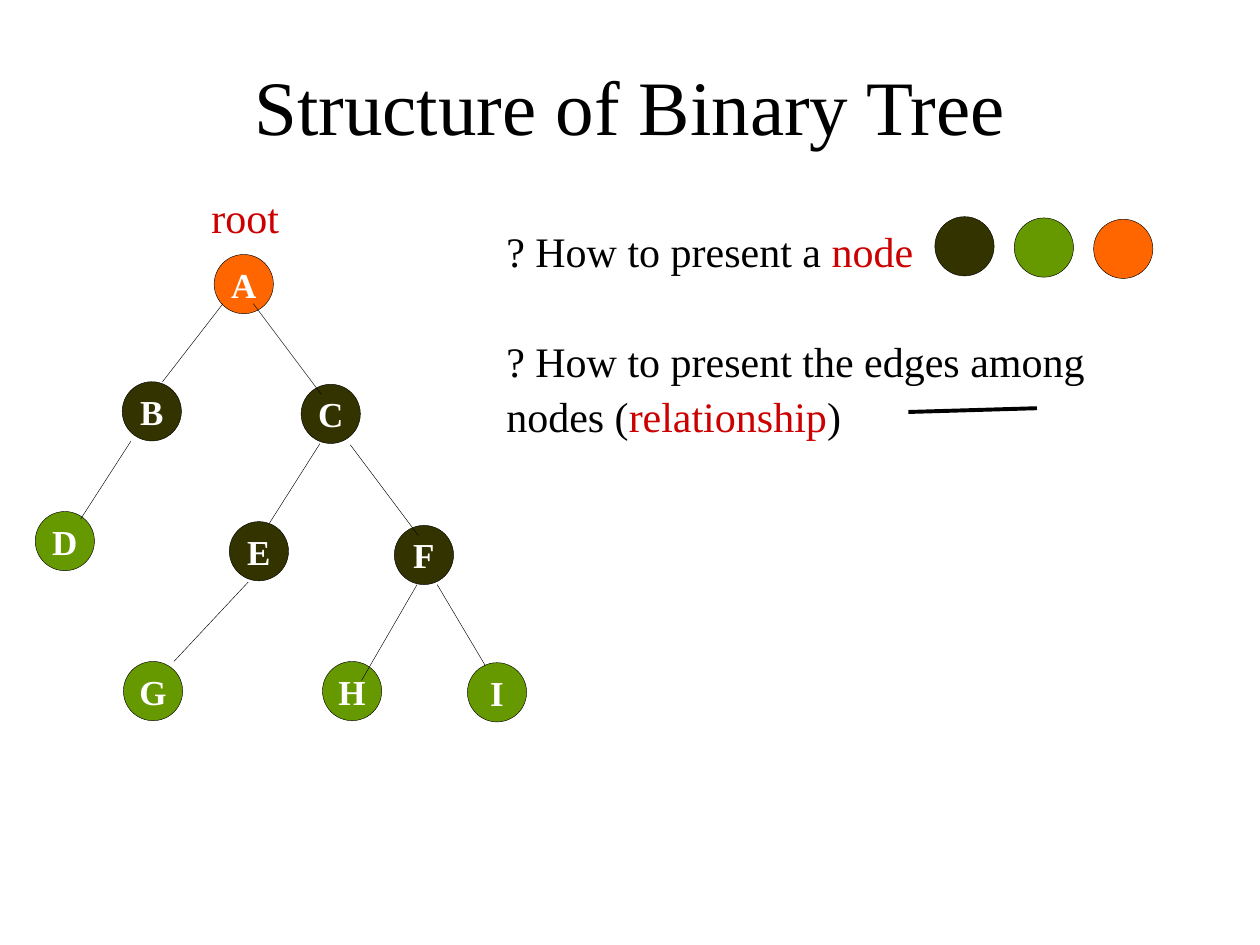
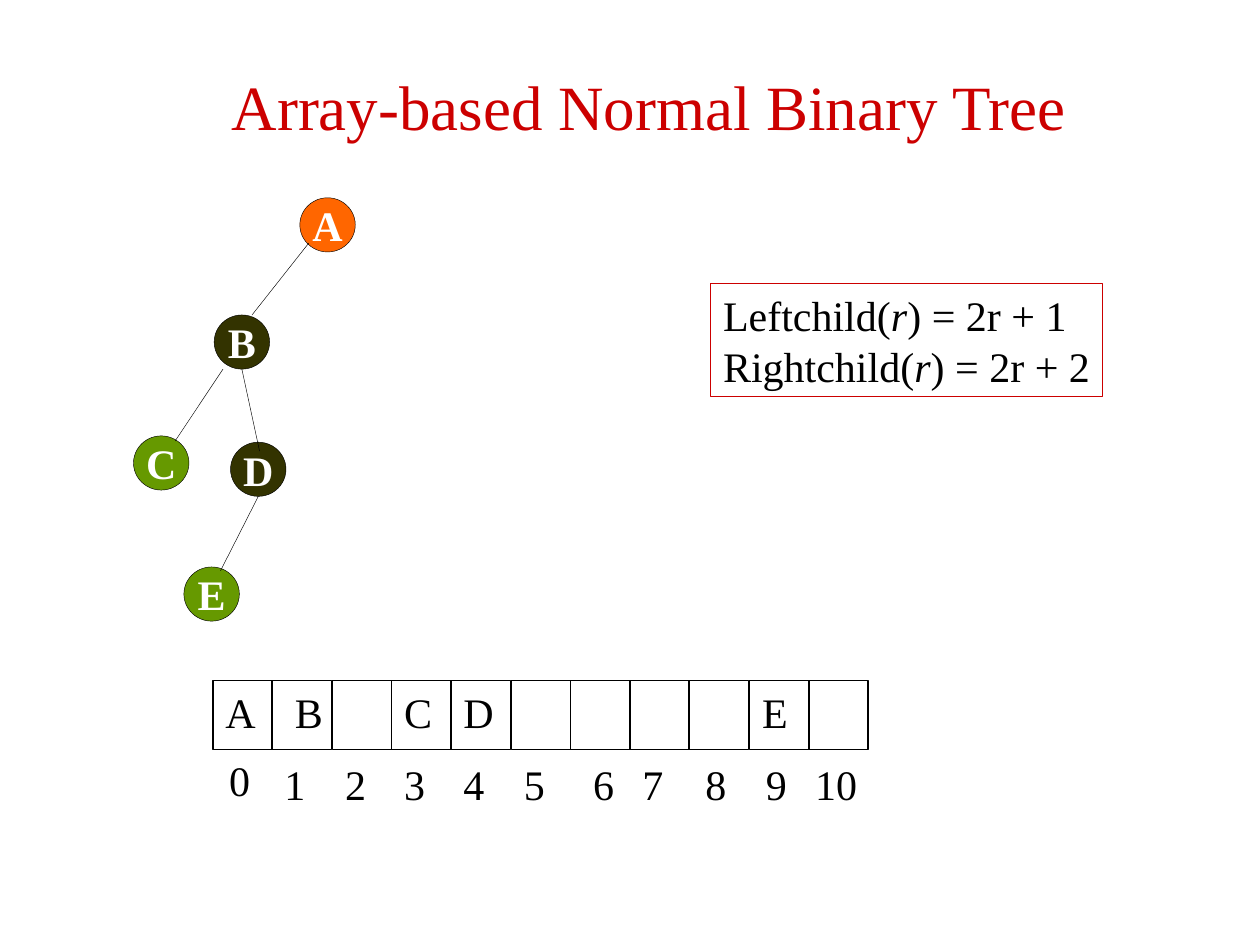
"""Build two slides on the structure and array storage of binary trees."""
import pptx
import pptx.dml.color
import pptx.enum.shapes
import pptx.enum.text
import pptx.oxml.ns
import pptx.util
from lxml import etree

PX = 9144
FONT = "Times New Roman"
BLACK, WHITE, RED = "000000", "FFFFFF", "CC0000"
ROOT, INNER, LEAF = "FF6600", "333300", "669900"
HAIRLINE = 0.25

QUESTIONS = [
    [("? How to present a ", {}), ("node", {"color": RED})],
    [("? How to present the edges among nodes (", {}), ("relationship", {"color": RED}), (")", {})],
]
FORMULAS = [
    [("Leftchild(", {}), ("r", {"italic": True}), (") = 2r + 1", {})],
    [("Rightchild(", {}), ("r", {"italic": True}), (") = 2r + 2", {})],
]

STRUCTURE_TREE = {
    "node_size": (47, 47),
    "text_size": 20,
    "nodes": [
        ("A", 170, 202, ROOT), ("B", 97, 303, INNER), ("C", 239, 305, INNER),
        ("D", 28, 406, LEAF), ("E", 182, 414, INNER), ("F", 313, 417, INNER),
        ("G", 98, 525, LEAF), ("H", 256, 525, LEAF), ("I", 371, 526, LEAF),
    ],
    "edges": [
        (201, 241, 255, 313), (177, 241, 129, 303), (278, 353, 332, 425), (254, 352, 214, 415),
        (104, 350, 64, 412), (347, 464, 385, 528), (331, 464, 287, 540), (197, 462, 138, 525),
    ],
}
ARRAY_TREE = {
    "node_size": (44, 43),
    "text_size": 24,
    "nodes": [
        ("A", 238, 157, ROOT), ("B", 170, 250, INNER), ("C", 106, 346, LEAF),
        ("D", 183, 351, INNER), ("E", 146, 450, LEAF),
    ],
    "edges": [
        (245, 193, 200, 250), (192, 293, 206, 358), (177, 293, 139, 350), (205, 394, 175, 453),
    ],
}
LEGEND_NODES = [("", 742, 172, INNER), ("", 805, 173, LEAF), ("", 868, 174, ROOT)]

ARRAY = ["A", "B", "", "C", "D", "", "", "", "", "E", ""]
ARRAY_LEFT, ARRAY_TOP, CELL_PITCH, CELL_WIDTH, CELL_HEIGHT = 169, 540, 47.3, 47, 55
INDEX_TOP = 597
VALUE_SHIFTS = {1: 8}
INDEX_SHIFTS = {0: (3, -3), 6: (8, 0), 8: (3, 0), 9: (3, 0), 10: (-5, 0)}


def px(value):
    return pptx.util.Emu(round(value * PX))


def rgb(color):
    return pptx.dml.color.RGBColor.from_string(color)


def write(frame, text, size=24, color=BLACK, bold=False, align="LEFT", anchor="TOP",
          wrap=False, spacing=1.0, gap=0, left_inset=10, right_inset=10):
    frame.word_wrap = wrap
    frame.vertical_anchor = pptx.enum.text.MSO_ANCHOR[anchor]
    frame.margin_left, frame.margin_right = px(left_inset), px(right_inset)
    frame.margin_top = frame.margin_bottom = px(5)
    paragraphs = [[(text, {})]] if isinstance(text, str) else text
    for number, runs in enumerate(paragraphs):
        paragraph = frame.add_paragraph() if number else frame.paragraphs[0]
        paragraph.alignment = pptx.enum.text.PP_ALIGN[align]
        paragraph.line_spacing = spacing
        paragraph.space_before = pptx.util.Pt(gap if number else 0)
        for words, changes in runs:
            run = paragraph.add_run()
            run.text = words
            run.font.name = FONT
            run.font.size = pptx.util.Pt(size)
            run.font.bold = bold
            run.font.italic = changes.get("italic", False)
            run.font.color.rgb = rgb(changes.get("color", color))


def add_text(slide, box, text, **style):
    write(slide.shapes.add_textbox(*map(px, box)).text_frame, text, **style)


def add_outlined(slide, kind, box, line_color=BLACK, line_width=0.75, fill=None):
    shape = slide.shapes.add_shape(pptx.enum.shapes.MSO_SHAPE[kind], *map(px, box))
    shape.shadow.inherit = False
    if fill:
        shape.fill.solid()
        shape.fill.fore_color.rgb = rgb(fill)
    else:
        shape.fill.background()
    shape.line.color.rgb = rgb(line_color)
    shape.line.width = pptx.util.Pt(line_width)
    return shape


def add_line(slide, ends, width=HAIRLINE):
    straight = pptx.enum.shapes.MSO_CONNECTOR.STRAIGHT
    connector = slide.shapes.add_connector(straight, *map(px, ends))
    connector.line.color.rgb = rgb(BLACK)
    connector.line.width = pptx.util.Pt(width)
    etree.SubElement(connector._element.spPr, pptx.oxml.ns.qn("a:effectLst"))


def add_nodes(slide, nodes, node_size, text_size):
    for label, left, top, fill in nodes:
        node = add_outlined(slide, "OVAL", (left, top, *node_size), line_width=HAIRLINE, fill=fill)
        if label:
            write(node.text_frame, label, size=text_size, color=WHITE, bold=True,
                  align="CENTER", anchor="MIDDLE")


def add_tree(slide, tree):
    add_nodes(slide, tree["nodes"], tree["node_size"], tree["text_size"])
    for ends in tree["edges"]:
        add_line(slide, ends)


def add_titled_slide(presentation, title, left, size, color):
    slide = presentation.slides.add_slide(presentation.slide_layouts.get_by_name("Title Only"))
    shape = slide.shapes.title
    shape.left, shape.top, shape.width, shape.height = map(px, (left, 21, 850, 125))
    write(shape.text_frame, title, size=size, color=color, align="CENTER", anchor="MIDDLE", wrap=True)
    return slide


def add_array(slide):
    for index, value in enumerate(ARRAY):
        left = round(ARRAY_LEFT + index * CELL_PITCH)
        cell = add_outlined(slide, "RECTANGLE", (left, ARRAY_TOP, CELL_WIDTH, CELL_HEIGHT))
        if value:
            inset = 10 + VALUE_SHIFTS.get(index, 0)
            write(cell.text_frame, value, wrap=True, left_inset=inset, right_inset=0)
        shift_x, shift_y = INDEX_SHIFTS.get(index, (0, 0))
        width = 36 if index < 10 else 55
        add_text(slide, (left + shift_x, INDEX_TOP + shift_y, width, 50), str(index),
                 wrap=True, right_inset=0)


def build_structure_slide(presentation):
    slide = add_titled_slide(presentation, "Structure of Binary Tree", 75, 44, BLACK)
    add_text(slide, (392, 170, 487, 186), QUESTIONS, wrap=True, spacing=1.1, gap=31)
    add_nodes(slide, LEGEND_NODES, STRUCTURE_TREE["node_size"], STRUCTURE_TREE["text_size"])
    add_line(slide, (721, 327, 823, 324), width=2.25)
    add_tree(slide, STRUCTURE_TREE)
    add_text(slide, (158, 147, 73, 50), "root", color=RED, wrap=True, right_inset=0)


def build_array_slide(presentation):
    slide = add_titled_slide(presentation, "Array-based Normal Binary Tree", 90, 36, RED)
    add_array(slide)
    formulas = add_outlined(slide, "RECTANGLE", (564, 225, 311, 90), line_color=RED)
    write(formulas.text_frame, FORMULAS, wrap=True, right_inset=0)
    add_tree(slide, ARRAY_TREE)


def main():
    presentation = pptx.Presentation()
    presentation.slide_width, presentation.slide_height = px(1000), px(750)
    build_structure_slide(presentation)
    build_array_slide(presentation)
    presentation.save("out.pptx")


if __name__ == "__main__":
    main()
